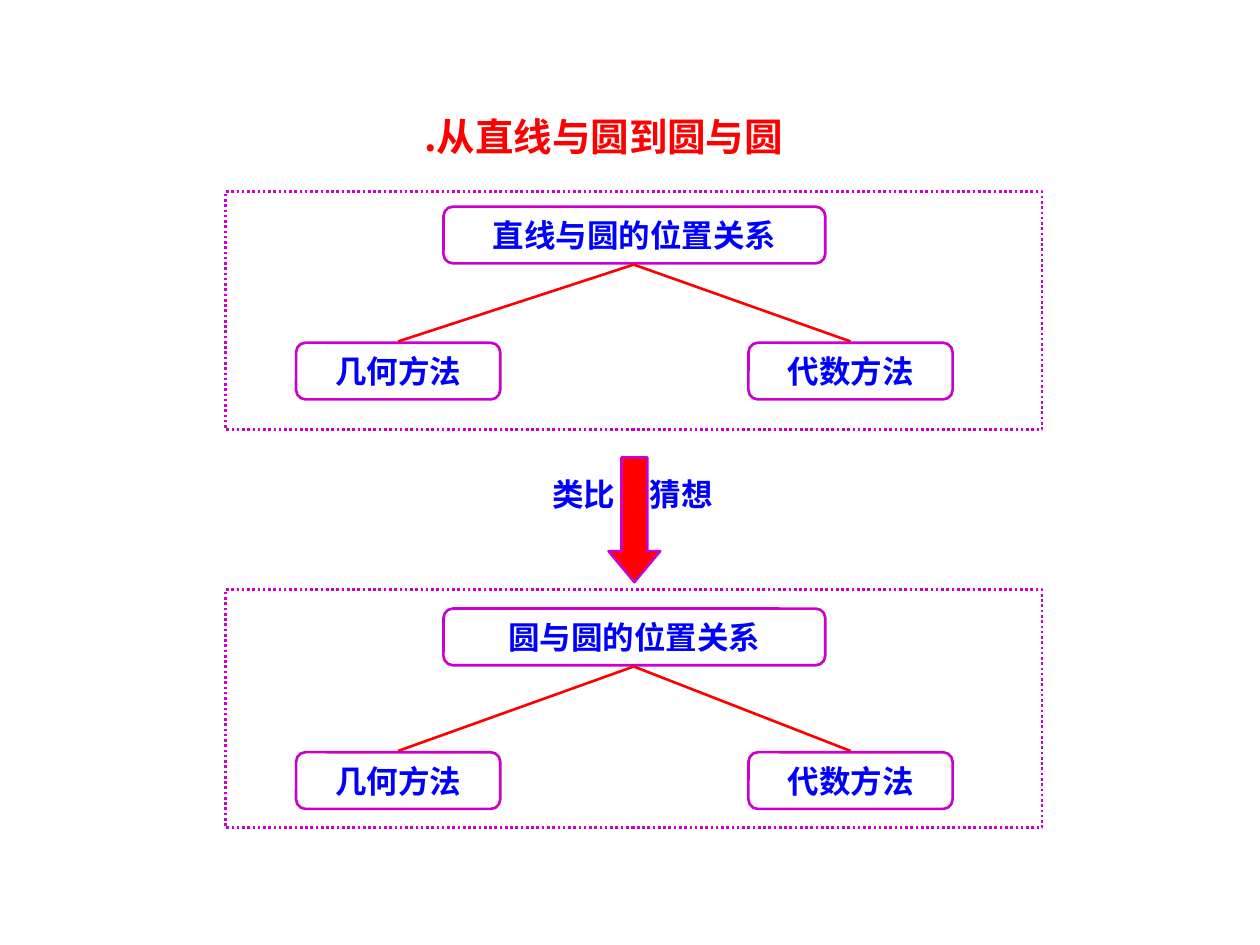
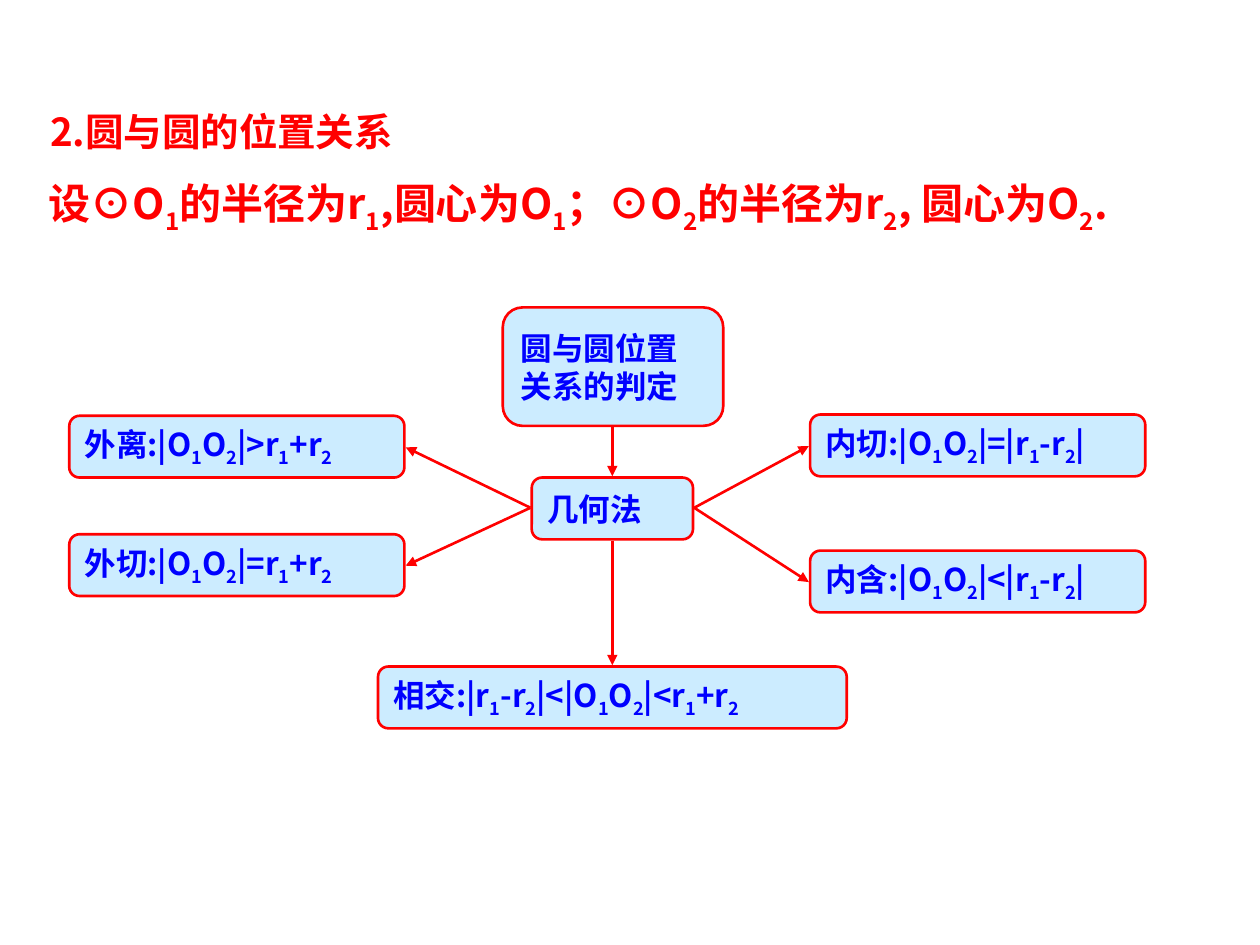
from lxml import etree
from pptx import Presentation
from pptx.dml.color import RGBColor
from pptx.enum.dml import MSO_LINE
from pptx.enum.shapes import MSO_CONNECTOR, MSO_SHAPE
from pptx.enum.text import MSO_ANCHOR, PP_ALIGN
from pptx.oxml.ns import qn
from pptx.util import Inches, Pt

ROUNDED = MSO_SHAPE.ROUNDED_RECTANGLE
RECTANGLE = MSO_SHAPE.RECTANGLE
DOWN_ARROW = MSO_SHAPE.DOWN_ARROW
STRAIGHT = MSO_CONNECTOR.STRAIGHT
DOTTED = MSO_LINE.ROUND_DOT
MIDDLE, TOP = MSO_ANCHOR.MIDDLE, MSO_ANCHOR.TOP
LEFT, CENTER, RIGHT = PP_ALIGN.LEFT, PP_ALIGN.CENTER, PP_ALIGN.RIGHT

RED, BLUE, PURPLE, PALE_BLUE = "FF0000", "0000FF", "CC00CC", "CCECFF"
SANS, LATIN = "Noto Sans CJK SC", "Arial"
LINE_WIDTH = Pt(1.5)


def color(hex_string):
    return RGBColor.from_string(hex_string)


class SlideBuilder:
    def __init__(self, presentation):
        self.presentation = presentation
        self.slide = None

    def new_slide(self):
        self.slide = self.presentation.slides.add_slide(self.presentation.slide_layouts[6])

    def add_run(self, paragraph, text, size, font, hex_string, subscript=False):
        if not text:
            return
        run = paragraph.add_run()
        run.text = text
        run.font.size = Pt(size)
        run.font.bold = True
        run.font.name = font
        run.font.color.rgb = color(hex_string)
        properties = run._r.get_or_add_rPr()
        etree.SubElement(properties, qn("a:ea")).set("typeface", SANS)
        if subscript:
            properties.set("baseline", "-25000")

    def set_text(self, shape, text, size, hex_string, align, font=SANS, wrap=True, anchor=TOP, spacing=None):
        frame = shape.text_frame
        frame.word_wrap = wrap
        frame.vertical_anchor = anchor
        for index, line in enumerate(text.split("\n")):
            paragraph = frame.add_paragraph() if index else frame.paragraphs[0]
            paragraph.alignment = align
            if spacing:
                paragraph.line_spacing = spacing
            first, *rest = line.split("_")
            self.add_run(paragraph, first, size, font, hex_string)
            for part in rest:
                self.add_run(paragraph, part[0], size, font, hex_string, subscript=True)
                self.add_run(paragraph, part[1:], size, font, hex_string)

    def text(self, left, top, width, height, text, size, hex_string, align=LEFT, spacing=None):
        box = self.slide.shapes.add_textbox(Inches(left), Inches(top), Inches(width), Inches(height))
        self.set_text(box, text, size, hex_string, align, spacing=spacing)

    def title(self, left, top, width, text, align=LEFT):
        self.text(left, top, width, 0.62, text, 22, RED, align, 1.4)

    def shape(self, kind, left, top, width, height, line, fill=None):
        shape = self.slide.shapes.add_shape(kind, Inches(left), Inches(top), Inches(width), Inches(height))
        shape.shadow.inherit = False
        shape.line.color.rgb = color(line)
        shape.line.width = LINE_WIDTH
        if fill:
            shape.fill.solid()
            shape.fill.fore_color.rgb = color(fill)
        else:
            shape.fill.background()
        return shape

    def outlined_node(self, left, top, width, text):
        node = self.shape(ROUNDED, left, top, width, 0.45, PURPLE)
        self.set_text(node, text, 18, BLUE, CENTER, LATIN, anchor=MIDDLE)

    def filled_node(self, left, top, width, text, height=0.49, font=SANS):
        node = self.shape(ROUNDED, left, top, width, height, RED, PALE_BLUE)
        self.set_text(node, text, 18, BLUE, LEFT, font, wrap=False, anchor=MIDDLE)

    def line(self, start, end, arrow=False):
        points = [Inches(value) for value in (*start, *end)]
        connector = self.slide.shapes.add_connector(STRAIGHT, *points)
        connector.line.color.rgb = color(RED)
        connector.line.width = LINE_WIDTH
        properties = connector._element.spPr
        if arrow:
            etree.SubElement(properties.find(qn("a:ln")), qn("a:tailEnd")).set("type", "triangle")
        etree.SubElement(properties, qn("a:effectLst"))

    def method_tree(self, frame_top, root_top, leaf_top, topic):
        self.outlined_node(3.52, root_top, 3.03, topic)
        for left, method in ((2.35, "几何方法"), (5.94, "代数方法")):
            self.outlined_node(left, leaf_top, 1.62, method)
            self.line((5.03, root_top + 0.46), (left + 0.81, leaf_top - 0.01))
        frame = self.shape(RECTANGLE, 1.79, frame_top, 6.48, 1.89, PURPLE)
        frame.line.dash_style = DOTTED


def build_analogy(builder):
    builder.new_slide()
    builder.title(0.65, 0.7, 8.28, ".从直线与圆到圆与圆", CENTER)
    builder.method_tree(1.52, 1.64, 2.72, "直线与圆的位置关系")
    builder.method_tree(4.68, 4.83, 5.97, "圆与圆的位置关系")
    builder.text(3.57, 3.72, 1.41, 0.4, "类比", 18, BLUE, RIGHT)
    builder.text(5.06, 3.72, 1.42, 0.4, "猜想", 18, BLUE)
    arrow = builder.shape(DOWN_ARROW, 4.83, 3.63, 0.41, 0.99, PURPLE, RED)
    arrow.adjustments[1] = 0.6


def build_position_tests(builder):
    builder.new_slide()
    builder.title(0.3, 0.66, 7.19, "2.圆与圆的位置关系")
    builder.text(0.29, 1.36, 9.15, 1.01,
                 "设⊙O_1的半径为r_1,圆心为O_1；⊙O_2的半径为r_2, 圆心为O_2.", 24, RED)
    builder.filled_node(3.99, 2.44, 1.75, "圆与圆位置\n关系的判定", 0.94, LATIN)
    builder.filled_node(4.22, 3.79, 1.28, "几何法", font=LATIN)
    side_cases = (
        (0.55, 3.3, "外离:|O_1O_2|>r_1+r_2"),
        (0.55, 4.24, "外切:|O_1O_2|=r_1+r_2"),
        (6.43, 3.29, "内切:|O_1O_2|=|r_1-r_2|"),
        (6.43, 4.37, "内含:|O_1O_2|<|r_1-r_2|"),
    )
    for left, top, condition in side_cases:
        builder.filled_node(left, top, 2.66, condition)
        start_x, end_x = (4.21, 3.22) if left < 4 else (5.51, 6.42)
        builder.line((start_x, 4.03), (end_x, top + 0.25), arrow=True)
    builder.filled_node(3, 5.29, 3.72, "相交:|r_1-r_2|<|O_1O_2|<r_1+r_2")
    for top, bottom in ((3.39, 3.78), (4.29, 5.28)):
        builder.line((4.86, top), (4.86, bottom), arrow=True)


def main():
    presentation = Presentation()
    presentation.slide_width = Inches(10)
    presentation.slide_height = Inches(7.5)
    builder = SlideBuilder(presentation)
    build_analogy(builder)
    build_position_tests(builder)
    presentation.save("out.pptx")


if __name__ == "__main__":
    main()
